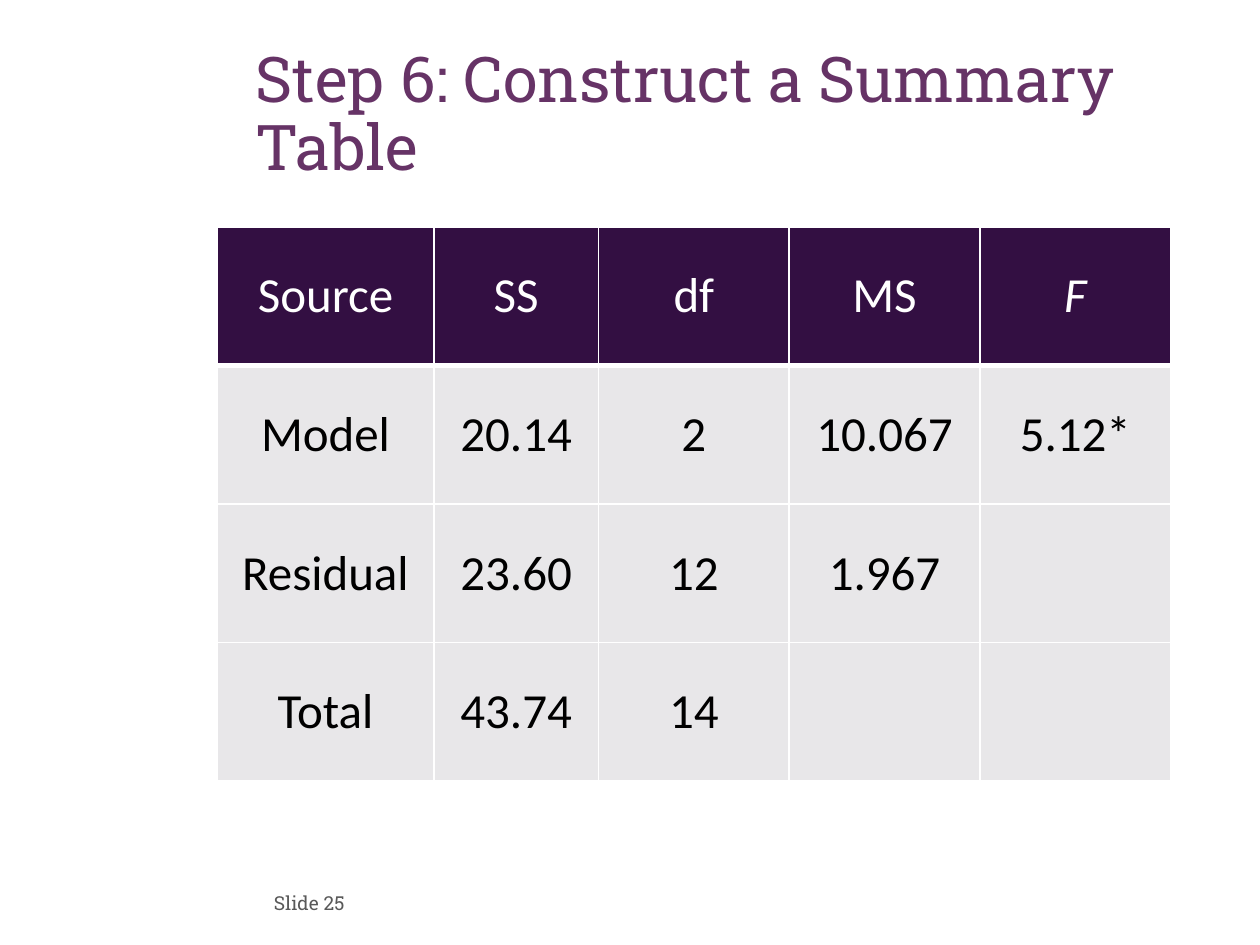
from lxml import etree
from pptx import Presentation
from pptx.dml.color import RGBColor
from pptx.enum import text
from pptx.oxml.ns import qn
from pptx.util import Pt

PURPLE, HEADER, BODY = "663366", "330F42", "E8E7E9"
WHITE, BLACK, GREY = "FFFFFF", "000000", "595959"
COLUMN_WIDTHS = (124, 94, 109, 109, 109)
ROW_HEIGHT = 79.2
ROWS = (
    ("Source", "SS", "df", "MS", "F"),
    ("Model", "20.14", "2", "10.067", "5.12*"),
    ("Residual", "23.60", "12", "1.967", ""),
    ("Total", "43.74", "14", "", ""),
)


def color(value):
    """Turn a hex string into a colour."""
    return RGBColor.from_string(value)


def style(p, name, size, ink, align):
    """Format a whole paragraph."""
    p.alignment = align
    p.font.name, p.font.size, p.font.bold = name, Pt(size), False
    p.font.color.rgb = color(ink)


def set_border(cell, side, width):
    """Draw one white border of a cell."""
    ln = etree.SubElement(cell._tc.get_or_add_tcPr(), qn(f"a:{side}"), w=str(Pt(width)))
    fill = etree.SubElement(ln, qn("a:solidFill"))
    etree.SubElement(fill, qn("a:srgbClr"), val=WHITE)


def fill_cell(cell, content, is_header):
    """Write and format one table cell."""
    for side in ("lnL", "lnR", "lnT", "lnB"):
        set_border(cell, side, 3 if is_header and side == "lnB" else 1)
    cell.fill.solid()
    cell.fill.fore_color.rgb = color(HEADER if is_header else BODY)
    cell.vertical_anchor = text.MSO_ANCHOR.MIDDLE
    cell.text = content
    p = cell.text_frame.paragraphs[0]
    style(p, "Calibri", 28, WHITE if is_header else BLACK, text.PP_ALIGN.CENTER)
    if content == "F":
        p.font.italic = True


def add_title(s, content):
    """Place and format the slide title."""
    sp = s.shapes.title
    sp.left, sp.top, sp.width, sp.height = Pt(139), Pt(21.6), Pt(545), Pt(90)
    tf = sp.text_frame
    tf.text = content
    tf.auto_size = text.MSO_AUTO_SIZE.NONE
    tf.vertical_anchor = text.MSO_ANCHOR.MIDDLE
    p = tf.paragraphs[0]
    p.line_spacing = 0.9
    style(p, "Roboto Slab", 36, PURPLE, text.PP_ALIGN.LEFT)


def add_summary_table(s):
    """Add the table of variance sources."""
    table = s.shapes.add_table(
        len(ROWS), len(COLUMN_WIDTHS), Pt(124), Pt(129.6),
        Pt(sum(COLUMN_WIDTHS)), Pt(ROW_HEIGHT * len(ROWS))).table
    table.horz_banding = False
    for column, width in zip(table.columns, COLUMN_WIDTHS):
        column.width = Pt(width)
    for i, values in enumerate(ROWS):
        table.rows[i].height = Pt(ROW_HEIGHT)
        for j, value in enumerate(values):
            fill_cell(table.cell(i, j), value, i == 0)


def add_slide_number(s, content):
    """Add the slide number label."""
    tf = s.shapes.add_textbox(Pt(36), Pt(502.5), Pt(168), Pt(26.5)).text_frame
    tf.word_wrap = True
    tf.vertical_anchor = text.MSO_ANCHOR.MIDDLE
    tf.text = content
    style(tf.paragraphs[0], "Roboto Slab", 11, GREY, text.PP_ALIGN.RIGHT)


def main():
    """Build and save the slide."""
    prs = Presentation()
    prs.slide_width, prs.slide_height = Pt(720), Pt(540)
    s = prs.slides.add_slide(prs.slide_layouts[5])
    add_title(s, "Step 6: Construct a Summary Table")
    add_summary_table(s)
    add_slide_number(s, "Slide 25")
    prs.save("out.pptx")


if __name__ == "__main__":
    main()
